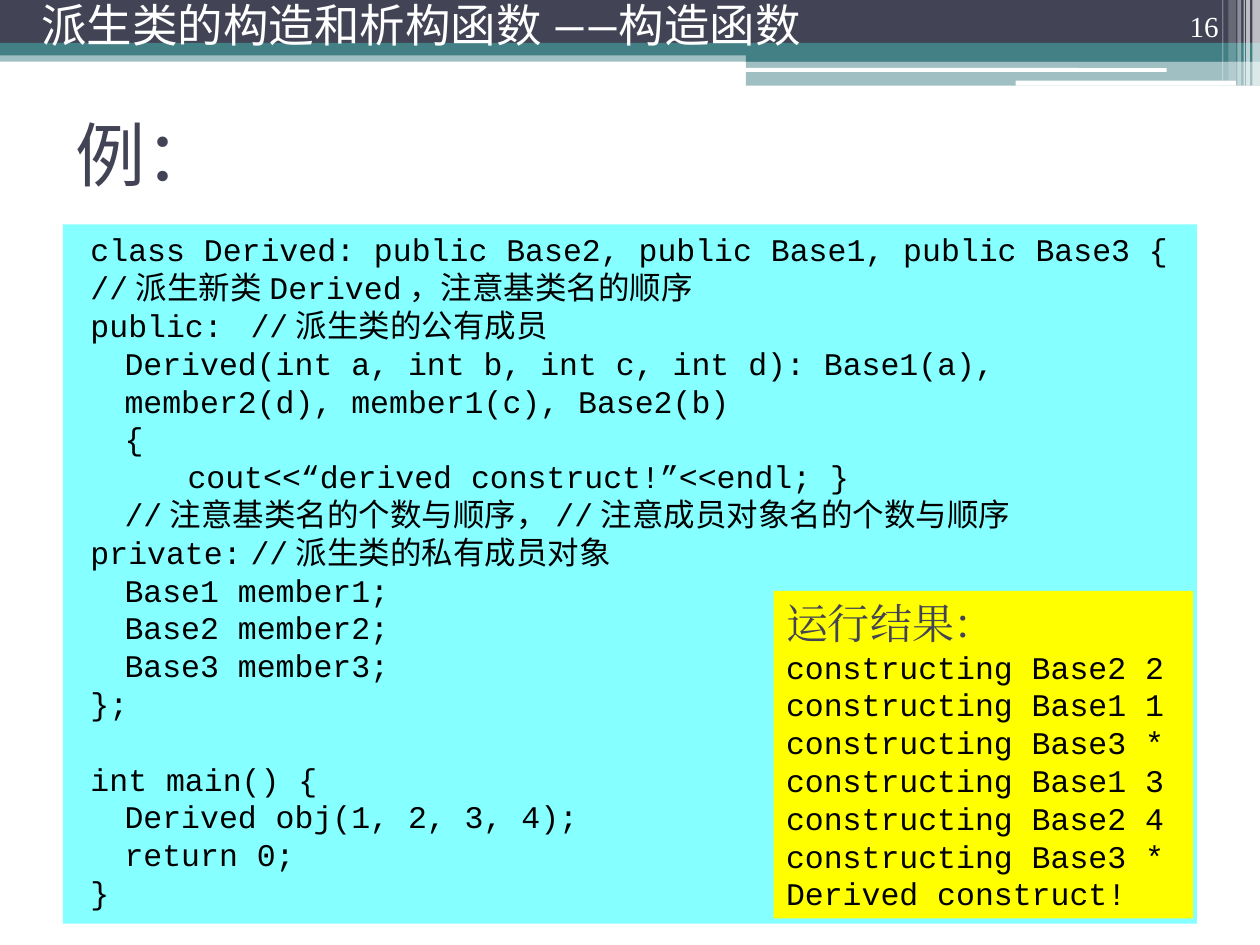
from dataclasses import dataclass

from lxml import etree
from pptx import Presentation
from pptx import util as u
from pptx.dml import color
from pptx.enum import shapes, text
from pptx.oxml import ns


@dataclass(frozen=True)
class Theme:
    """Colours, fonts and type sizes of the slide."""
    navy: str = "424456"
    teal: str = "438086"
    white: str = "FFFFFF"
    black: str = "000000"
    cyan: str = "85FFFF"
    yellow: str = "FFFF00"
    heading_font: str = "Karla"
    number_font: str = "Times New Roman"
    code_font: str = "Courier New"
    title_size: float = 40
    header_size: float = 26
    result_size: float = 24
    code_size: float = 18
    number_size: float = 16.6
    leading: float = 1.2


THEME = Theme()
RECT = shapes.MSO_SHAPE.RECTANGLE
ROUND = shapes.MSO_SHAPE.ROUNDED_RECTANGLE

BARS = [
    (RECT, (0, 0.4, 10, 0.09), THEME.teal, 50),
    (RECT, (0, 0, 10, 0.34), THEME.navy, 100),
    (RECT, (0, 0.34, 10, 0.1), THEME.teal, 100),
    (RECT, (5.92, 0.39, 4.08, 0.1), THEME.teal, 100),
    (RECT, (5.92, 0.48, 4.08, 0.2), THEME.teal, 50),
    (ROUND, (5.91, 0.54, 3.35, 0.03), THEME.white, 100),
    (ROUND, (8.06, 0.64, 1.75, 0.04), THEME.white, 100),
]

STRIPES = [
    (9.94, 0.06, 0.68, 65),
    (9.89, 0.03, 0.68, 65),
    (9.87, 0.01, 0.68, 60),
    (9.82, 0.03, 0.68, 40),
    (9.75, 0.06, 0.64, 20),
    (9.7, 0.01, 0.64, 30),
]

CLASS_CODE = [
    "class Derived: public Base2, public Base1, public Base3 {",
    "//派生新类Derived，注意基类名的顺序",
    "public:\t//派生类的公有成员",
    "\tDerived(int a, int b, int c, int d): Base1(a), member2(d), member1(c), Base2(b)",
    "\t{",
    "\t\tcout<<“derived construct!”<<endl; }",
    "\t//注意基类名的个数与顺序，//注意成员对象名的个数与顺序",
    "private:\t//派生类的私有成员对象",
    "\tBase1 member1;",
    "\tBase2 member2;",
    "\tBase3 member3;",
    "};",
]

MAIN_CODE = ["int main() {", "\tDerived obj(1, 2, 3, 4);", "\treturn 0;", "}"]

RESULTS = [
    "constructing Base2 2",
    "constructing Base1 1",
    "constructing Base3 *",
    "constructing Base1 3",
    "constructing Base2 4",
    "constructing Base3 *",
    "Derived construct!",
]


def inches(place):
    """Turn a tuple of numbers into lengths."""
    return [u.Inches(value) for value in place]


def add_block(page, kind, place, fill, opacity=100):
    """Add a filled shape without line or shadow."""
    block = page.shapes.add_shape(kind, *inches(place))
    block.shadow.inherit = False
    block.line.fill.background()
    block.fill.solid()
    block.fill.fore_color.rgb = color.RGBColor.from_string(fill)
    if opacity < 100:
        tint = block.fill._xPr.find(".//" + ns.qn("a:srgbClr"))
        etree.SubElement(tint, ns.qn("a:alpha"), val=str(opacity * 1000))
    return block


def set_frame(box, anchor):
    """Wrap the text of a box, anchor it and return its frame."""
    frame = box.text_frame
    frame.word_wrap = True
    frame.auto_size = text.MSO_AUTO_SIZE.NONE
    frame.vertical_anchor = anchor
    return frame


def write_line(para, words, font, size, ink, spacing=None, align=text.PP_ALIGN.LEFT):
    """Write one styled run into a paragraph."""
    para.alignment = align
    para.line_spacing = spacing or u.Pt(round(size * THEME.leading, 1))
    span = para.add_run()
    span.text = words
    span.font.name = font
    span.font.size = u.Pt(size)
    span.font.color.rgb = color.RGBColor.from_string(ink)
    east = etree.SubElement(span.font._element, ns.qn("a:ea"))
    east.set("typeface", font)


def write_code(para, words):
    """Write one line of code."""
    write_line(para, words, THEME.code_font, THEME.code_size, THEME.black)


def set_code_indent(para):
    """Give a code line its hanging indent and inch-wide tab stops."""
    props = para._p.get_or_add_pPr()
    props.set("marL", str(u.Inches(0.39)))
    props.set("indent", str(u.Inches(-0.27)))
    stops = etree.SubElement(props, ns.qn("a:tabLst"))
    for inch in range(8):
        etree.SubElement(stops, ns.qn("a:tab"), pos=str(u.Inches(inch)), algn="l")


def add_label(page, place, anchor, *style):
    """Add a text box with a single line."""
    box = page.shapes.add_textbox(*inches(place))
    write_line(set_frame(box, anchor).paragraphs[0], *style)


def add_decoration(page):
    """Add the bars along the top and the stripes at the right edge."""
    for bar in BARS:
        add_block(page, *bar)
    for left, width, height, opacity in STRIPES:
        add_block(page, RECT, (left, 0, width, height), THEME.white, opacity)


def format_title(page):
    """Place and fill the title."""
    title = page.shapes.title
    title.left, title.top, title.width, title.height = inches((0.5, 0.63, 9, 1.17))
    frame = set_frame(title, text.MSO_ANCHOR.MIDDLE)
    write_line(frame.paragraphs[0], "例：", THEME.heading_font, THEME.title_size,
               THEME.navy, 1.0)


def add_code_panel(page):
    """Add the panel with the source code."""
    panel = add_block(page, RECT, (0.5, 1.78, 9, 5.55), THEME.cyan)
    frame = set_frame(panel, text.MSO_ANCHOR.TOP)
    for index, words in enumerate(CLASS_CODE + MAIN_CODE):
        para = frame.add_paragraph() if index else frame.paragraphs[0]
        write_code(para, words)
        if index == len(CLASS_CODE):
            para.space_before = para.line_spacing
        set_code_indent(para)


def add_result_panel(page):
    """Add the panel with the program output."""
    panel = add_block(page, RECT, (6.14, 4.69, 3.33, 2.6), THEME.yellow)
    frame = set_frame(panel, text.MSO_ANCHOR.TOP)
    write_line(frame.paragraphs[0], "运行结果：", THEME.number_font,
               THEME.result_size, THEME.navy)
    for words in RESULTS:
        write_code(frame.add_paragraph(), words)


def main():
    """Build the slide and save it."""
    deck = Presentation()
    deck.slide_width, deck.slide_height = inches((10, 7.5))
    page = deck.slides.add_slide(deck.slide_layouts[5])
    add_decoration(page)
    add_label(page, (8.94, 0, 0.83, 0.4), text.MSO_ANCHOR.BOTTOM, "16",
              THEME.number_font, THEME.number_size, THEME.white, 0.9,
              text.PP_ALIGN.RIGHT)
    format_title(page)
    add_code_panel(page)
    add_label(page, (0.23, 0, 9.57, 0.47), text.MSO_ANCHOR.MIDDLE,
              "派生类的构造和析构函数 ——构造函数", THEME.heading_font,
              THEME.header_size, THEME.white, 0.8)
    add_result_panel(page)
    deck.save("out.pptx")


if __name__ == "__main__":
    main()
